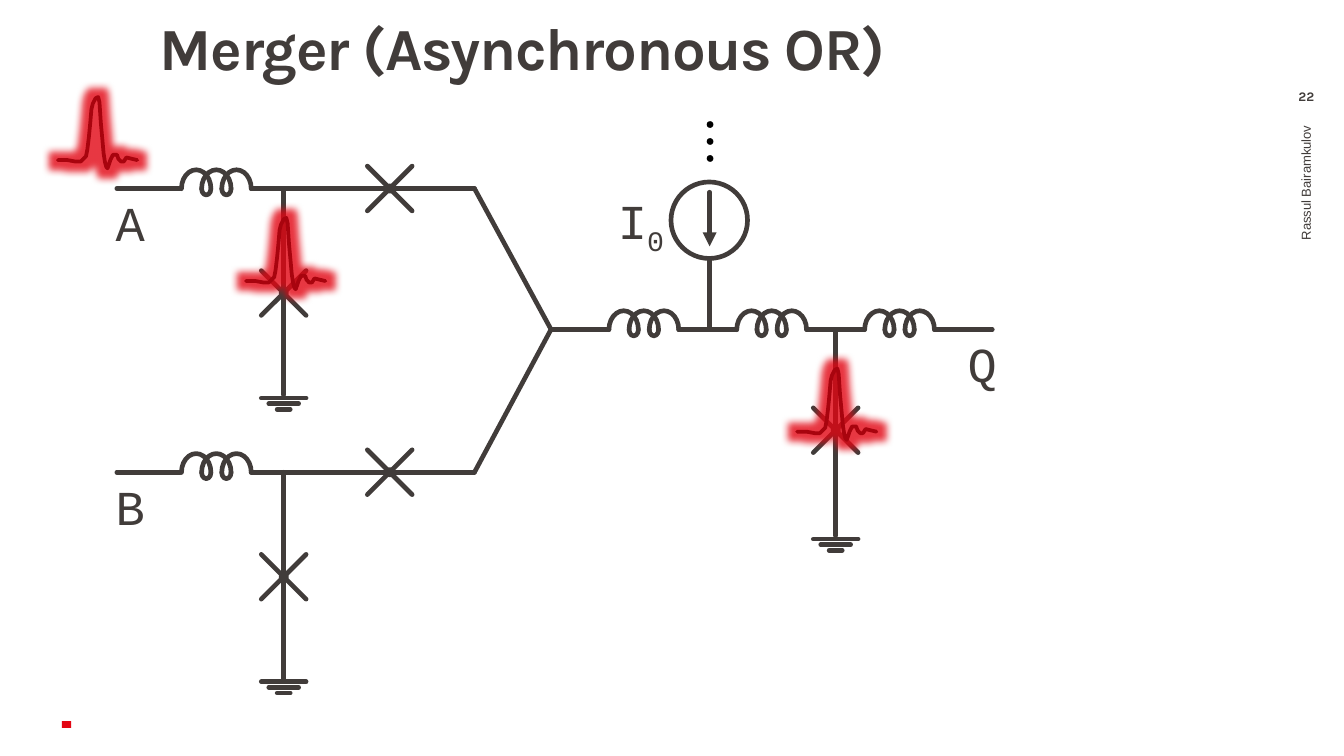
"""Draw the circuit of an asynchronous OR merger with its pulses."""
from lxml import etree
from pptx import Presentation
from pptx import util as u
from pptx.dml.color import RGBColor
from pptx.enum import shapes, text
from pptx.oxml import ns

DARK = RGBColor(0x41, 0x3C, 0x3A)
RED = RGBColor(0xE3, 0x06, 0x13)
BLOOD = RGBColor(0xA8, 0x04, 0x0E)
WHITE = RGBColor(0xFF, 0xFF, 0xFF)
BLACK = RGBColor(0, 0, 0)
OVAL = shapes.MSO_SHAPE.OVAL
LEFT, MID, RIGHT = text.PP_ALIGN.LEFT, text.PP_ALIGN.CENTER, text.PP_ALIGN.RIGHT

PULSE = [
    (0, 338), (50, 338), (94, 346), (122, 346), (137, 331), (151, 317),
    (158, 281), (166, 216), (173, 144), (180, 65), (187, 36), (202, 7),
    (216, 0), (223, 29), (230, 137), (238, 223), (245, 302), (252, 346),
    (259, 374), (266, 382), (274, 360), (281, 338), (295, 310), (317, 310),
    (324, 331), (338, 346), (353, 346), (367, 324), (396, 331), (425, 338),
]


def add(owner, tag, **attrs):
    return etree.SubElement(owner, ns.qn(tag), **attrs)


class Pen:
    def __init__(self, slide):
        self.all = slide.shapes
        self.width = 2.5

    def stroke(self, shape, color=DARK, width=None):
        shape.line.color.rgb = color
        shape.line.width = u.Pt(width or self.width)
        line = shape.line._get_or_add_ln()
        line.set("cap", "rnd")
        add(line, "a:round")
        return line

    def wire(self, x1, y1, x2, y2, arrow=False):
        wire = self.all.add_connector(
            shapes.MSO_CONNECTOR.STRAIGHT, u.Pt(x1), u.Pt(y1), u.Pt(x2), u.Pt(y2))
        line = self.stroke(wire)
        if arrow:
            add(line, "a:tailEnd", type="triangle")
        add(wire._element.spPr, "a:effectLst")

    def shape(self, kind, x, y, w, h, fill=None, edge=True):
        shape = self.all.add_shape(kind, u.Pt(x), u.Pt(y), u.Pt(w), u.Pt(h))
        shape.shadow.inherit = False
        if fill is None:
            shape.fill.background()
        else:
            shape.fill.solid()
            shape.fill.fore_color.rgb = fill
        if edge:
            self.stroke(shape)
        else:
            shape.line.fill.background()
        return shape

    def arc(self, x, y, w, h, turn=0):
        arc = self.shape(shapes.MSO_SHAPE.ARC, x, y, w, h)
        arc.adjustments[0] = 107.84
        arc.adjustments[1] = 0
        arc.rotation = turn

    def coil(self, x, y):
        for i in range(3):
            self.arc(x + 10.8 * i, y - 10, 15.8, 20.2)
        for i in (1, 2):
            self.arc(x + 10.8 * i, y - 3.1, 5, 6.5, 180)

    def cross(self, x, y):
        self.wire(x - 12, y - 12, x + 12, y + 12)
        self.wire(x + 12, y - 12, x - 12, y + 12)
        self.shape(OVAL, x - 1.4, y - 1.4, 2.8, 2.8)

    def branch(self, x, y, drop):
        self.wire(x, y, x, y + 110.5)
        self.cross(x, y + drop)
        for i, half in enumerate((12, 8, 3.5)):
            level = y + 112.3 + 3 * i
            self.wire(x - half, level, x + half, level)

    def pulse(self, x, y):
        path = self.all.build_freeform(*PULSE[0], scale=u.Pt(0.1))
        path.add_line_segments(PULSE[1:], close=False)
        pulse = path.convert_to_shape(u.Pt(x), u.Pt(y))
        pulse.shadow.inherit = False
        pulse.fill.background()
        self.stroke(pulse, BLOOD, 2)
        effect = pulse._element.spPr.find(ns.qn("a:effectLst"))
        glow = add(effect, "a:glow", rad=str(u.Pt(8)))
        color = add(glow, "a:srgbClr", val=str(RED))
        add(color, "a:alpha", val="80000")

    def label(self, words, x, y, w, h, size, font="Courier New", align=MID,
              bold=False, inset=(0, 0, 0, 0), anchor=text.MSO_ANCHOR.MIDDLE):
        box = self.all.add_textbox(u.Pt(x), u.Pt(y), u.Pt(w), u.Pt(h))
        frame = box.text_frame
        frame.text = words
        frame.word_wrap = True
        frame.vertical_anchor = anchor
        (frame.margin_left, frame.margin_top,
         frame.margin_right, frame.margin_bottom) = map(u.Pt, inset)
        para = frame.paragraphs[0]
        para.alignment = align
        for run in para.runs:
            self.style(run, size, font, bold)
        return box

    def style(self, run, size, font, bold=False):
        run.font.size = u.Pt(size)
        run.font.name = font
        run.font.bold = bold
        run.font.color.rgb = DARK


def main():
    deck = Presentation()
    deck.slide_width, deck.slide_height = u.Pt(720), u.Pt(405)
    pen = Pen(deck.slides.add_slide(deck.slide_layouts[6]))
    top = text.MSO_ANCHOR.TOP

    pen.shape(shapes.MSO_SHAPE.RECTANGLE, 33.2, 386.4, 5, 3.6, RED, False)
    title = pen.label("Merger (Asynchronous OR)", 71.3, 10.1, 417, 46, 32, "Karla",
                      LEFT, True, (14.4, 0, 5.8, 3.6), top)
    para = title.text_frame.paragraphs[0]
    para.line_spacing = 0.9
    para.runs[0].font._element.set("spc", "-70")
    name = pen.label("Rassul Bairamkulov", 560.2, 179.3, 278.6, 40.3, 7, "Arial",
                     RIGHT, inset=(7.2, 3.6, 7.2, 3.6))
    name.rotation = 270
    pen.label("22", 679.7, 47.5, 40.3, 13, 7, "Karla", bold=True, anchor=top)

    for mark, y in (("A", 101), ("B", 253)):
        pen.wire(62.6, y, 96.5, y)
        pen.coil(97.2, y)
        pen.wire(134.6, y, 254.2, y)
        pen.wire(254.2, y, 295.2, 176.5)
        pen.cross(208.8, y)
        pen.branch(152, y, 56)
        pen.label(mark, 48.2, y - 1.6, 43.2, 39, 26.1)

    out = 176.5
    pen.wire(295.2, out, 326.2, out)
    for x in (326.2, 394.7, 463.2):
        pen.coil(x, out)
        pen.wire(x + 37.4, out, x + 68.4, out)
    pen.branch(447.7, out, 54)
    pen.label("Q", 504.7, 175, 43.2, 39, 26.1)

    for i in range(3):
        pen.shape(OVAL, 378.6, 64.9 + 9.1 * i, 3.6, 3.6, BLACK, False)
    pen.shape(OVAL, 359.5, 97.5, 41, 41, WHITE)
    pen.wire(380.2, 103, 380.2, 132, arrow=True)
    pen.wire(380.2, out, 380.2, 138.5)
    bias = pen.label("I", 321.8, 107.3, 43.2, 25, 26.1)
    sub = bias.text_frame.paragraphs[0].add_run()
    sub.text = "0"
    pen.style(sub, 26.1, "Courier New")
    sub.font._element.set("baseline", "-25000")

    for x, y in ((31, 52), (131.8, 116.8), (427, 197.5)):
        pen.pulse(x, y)
    deck.save("out.pptx")


if __name__ == "__main__":
    main()
